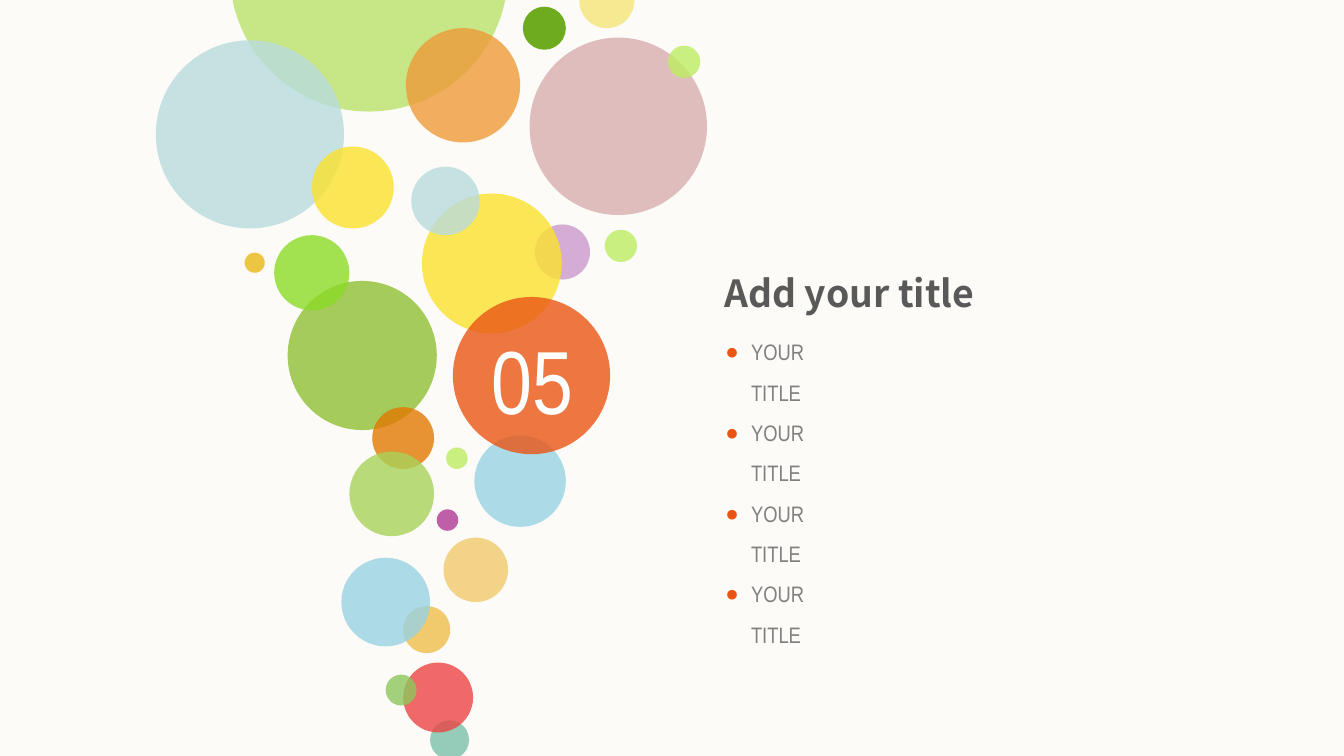
from lxml import etree
from pptx import Presentation
from pptx.dml.color import RGBColor
from pptx.enum.shapes import MSO_SHAPE
from pptx.enum.text import MSO_AUTO_SIZE as AutoSize, PP_ALIGN as Align
from pptx.oxml.ns import qn
from pptx.util import Inches, Pt

BACKGROUND = RGBColor(0xFC, 0xFB, 0xF7)
WHITE = RGBColor(0xFF, 0xFF, 0xFF)
TITLE_GRAY = RGBColor(0x59, 0x59, 0x59)
BODY_GRAY = RGBColor(0x80, 0x80, 0x80)
ORANGE = RGBColor(0xEA, 0x55, 0x14)
YELLOW = RGBColor(0xFB, 0xE2, 0x2D)
PALE_BLUE = RGBColor(0xB9, 0xDB, 0xDD)
SKY = RGBColor(0x98, 0xD2, 0xE3)
SAND = RGBColor(0xF0, 0xCA, 0x6C)
LIME = RGBColor(0xBC, 0xED, 0x61)
OLIVE = RGBColor(0xA5, 0xCB, 0x5A)
LEAF = RGBColor(0x6E, 0xAB, 0x1F)
CREAM = RGBColor(0xF5, 0xEA, 0x91)

NARROW, HEADING = "Arial Narrow", "Noto Sans CJK SC"
NUMBER = "05"
TITLE = "Add your title"
BULLETS = ["YOUR TITLE"] * 4
OPACITY = 80
SOLID = 100

# Bubbles from back to front: left, top, diameter, colour, opacity in percent
BUBBLES = [
    (1.71, -1.24, 2.07, RGBColor(0xBA, 0xE3, 0x6B), OPACITY),
    (3.89, 0.05, 0.32, LEAF, SOLID),
    (1.16, 0.30, 1.40, PALE_BLUE, OPACITY),
    (3.02, 0.21, 0.85, RGBColor(0xED, 0x9B, 0x38), OPACITY),
    (4.31, -0.20, 0.41, CREAM, SOLID),
    (3.94, 0.28, 1.32, RGBColor(0xD8, 0xAE, 0xAF), OPACITY),
    (2.14, 2.09, 1.11, OLIVE, SOLID),
    (4.97, 0.34, 0.24, LIME, OPACITY),
    (4.50, 1.71, 0.24, LIME, OPACITY),
    (3.98, 1.67, 0.41, RGBColor(0xCB, 0x99, 0xCC), OPACITY),
    (3.14, 1.44, 1.04, YELLOW, OPACITY),
    (2.32, 1.09, 0.61, YELLOW, OPACITY),
    (2.04, 1.75, 0.56, RGBColor(0x8C, 0xDB, 0x27), OPACITY),
    (1.82, 1.88, 0.15, RGBColor(0xE9, 0xB9, 0x15), OPACITY),
    (3.32, 3.33, 0.16, LIME, OPACITY),
    (3.25, 3.79, 0.16, RGBColor(0xB0, 0x38, 0x96), OPACITY),
    (3.30, 4.00, 0.48, SAND, OPACITY),
    (3.00, 4.51, 0.35, SAND, SOLID),
    (3.20, 5.36, 0.29, RGBColor(0x7B, 0xBF, 0xAA), OPACITY),
    (3.00, 4.93, 0.52, RGBColor(0xEB, 0x45, 0x44), OPACITY),
    (2.87, 5.02, 0.23, RGBColor(0x8D, 0xC6, 0x5B), OPACITY),
    (2.54, 4.15, 0.66, SKY, OPACITY),
    (3.06, 1.24, 0.51, PALE_BLUE, OPACITY),
    (3.53, 3.24, 0.68, SKY, OPACITY),
    (2.77, 3.03, 0.46, RGBColor(0xE2, 0x79, 0x02), OPACITY),
    (2.60, 3.36, 0.63, RGBColor(0xA9, 0xD2, 0x5A), OPACITY),
    (3.37, 2.21, 1.17, ORANGE, OPACITY),
]


def add_bubble(slide, left, top, diameter, color, opacity):
    size = Inches(diameter)
    bubble = slide.shapes.add_shape(
        MSO_SHAPE.OVAL, Inches(left), Inches(top), size, size)
    bubble.shadow.inherit = False
    bubble.line.fill.background()
    bubble.fill.solid()
    bubble.fill.fore_color.rgb = color
    if opacity < SOLID:
        color_element = bubble.element.spPr.find(".//" + qn("a:srgbClr"))
        etree.SubElement(color_element, qn("a:alpha"), val=str(opacity * 1000))


def add_bullet(paragraph):
    properties = paragraph._p.get_or_add_pPr()
    indent = Inches(0.19)
    properties.set("marL", str(indent))
    properties.set("indent", str(-indent))
    bullet_color = etree.SubElement(properties, qn("a:buClr"))
    etree.SubElement(bullet_color, qn("a:srgbClr"), val=str(ORANGE))
    etree.SubElement(properties, qn("a:buFont"), typeface="Arial")
    etree.SubElement(properties, qn("a:buChar"), char="●")
    paragraph.line_spacing = 1.5


def add_text(slide, box, lines, font_name, size, color,
             bold=False, align=Align.LEFT, inset=True, bullets=False):
    text_frame = slide.shapes.add_textbox(*map(Inches, box)).text_frame
    text_frame.word_wrap = True
    text_frame.auto_size = AutoSize.SHAPE_TO_FIT_TEXT
    if not inset:
        text_frame.margin_left = text_frame.margin_right = 0
        text_frame.margin_top = text_frame.margin_bottom = 0
    text_frame.text = "\n".join(lines)
    for paragraph in text_frame.paragraphs:
        paragraph.alignment = align
        if bullets:
            add_bullet(paragraph)
        for run in paragraph.runs:
            run.font.name = font_name
            run.font.size = Pt(size)
            run.font.bold = bold
            run.font.color.rgb = color
            properties = run.font._element
            etree.SubElement(properties, qn("a:ea"), typeface=font_name)


# Widescreen slide, 16:9
presentation = Presentation()
presentation.slide_width = Inches(10)
presentation.slide_height = Inches(10 * 9 / 16)
slide = presentation.slides.add_slide(presentation.slide_layouts[6])
slide.background.fill.solid()
slide.background.fill.fore_color.rgb = BACKGROUND

# Column of bubbles
for bubble in BUBBLES:
    add_bubble(slide, *bubble)

# Section number, title and bullet list
add_text(slide, (3.56, 2.42, 0.8, 0.81), [NUMBER], NARROW, 48, WHITE,
         align=Align.CENTER, inset=False)
add_text(slide, (5.39, 2.01, 3.04, 0.34), [TITLE], HEADING, 20, TITLE_GRAY,
         bold=True, inset=False)
add_text(slide, (5.3, 2.37, 1.1, 1.31), BULLETS, NARROW, 12, BODY_GRAY,
         bullets=True)

presentation.save("out.pptx")
